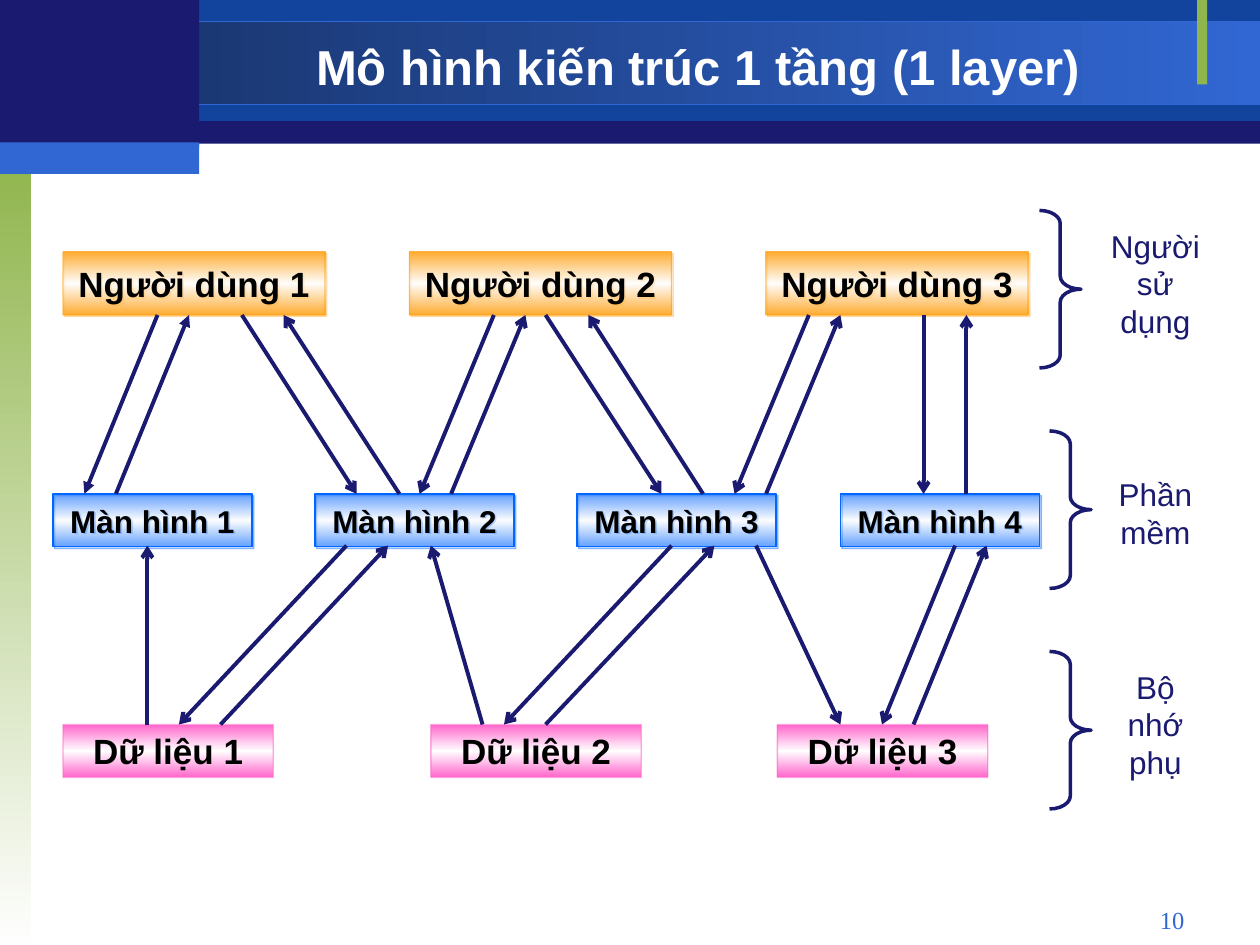
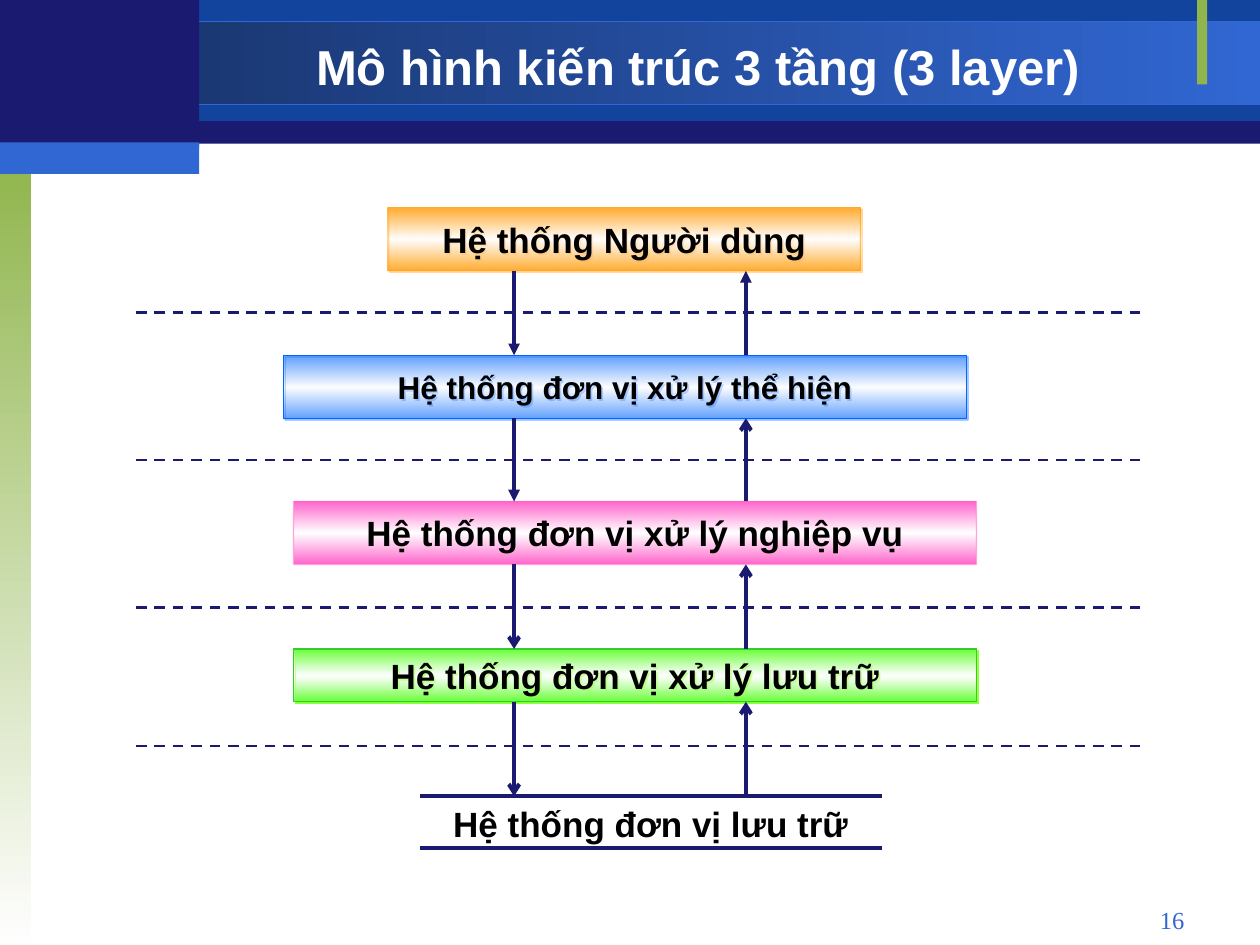
"""Build two slides on one-layer and three-layer architecture models."""
from lxml import etree
from pptx import Presentation
from pptx.dml.color import RGBColor
from pptx.enum.dml import MSO_LINE
from pptx.enum.shapes import MSO_CONNECTOR, MSO_SHAPE
from pptx.enum.text import MSO_ANCHOR, MSO_AUTO_SIZE, PP_ALIGN
from pptx.oxml.ns import qn
from pptx.util import Inches, Pt

RECTANGLE, BRACE = MSO_SHAPE.RECTANGLE, MSO_SHAPE.RIGHT_BRACE
STRAIGHT, DASH = MSO_CONNECTOR.STRAIGHT, MSO_LINE.DASH
CENTER, RIGHT = PP_ALIGN.CENTER, PP_ALIGN.RIGHT
TOP, MIDDLE = MSO_ANCHOR.TOP, MSO_ANCHOR.MIDDLE
NO_AUTOFIT = MSO_AUTO_SIZE.NONE

COLORS = {
    "navy": "1A1A70", "blue": "12449E", "bright": "3167D3", "deep": "162F61",
    "olive": "90B54D", "paper": "FEFEFE", "white": "FFFFFF", "black": "000000",
    "orange": "FF9900", "azure": "0066FF", "pink": "FF66CC",
    "green": "66FF33", "leaf": "33CC33", "lime": "99FF33",
}
BOX_STYLES = {
    "user": {"stops": [("orange", 71), ("white", 71), ("orange", 71)],
             "line": ("orange", 60), "shadow": ("orange", 50), "size": 20, "before": 12.5},
    "screen": {"stops": [("azure", 50), ("white", 50), ("azure", 50)],
               "line": ("azure", 100), "shadow": ("azure", 50), "size": 18},
    "data": {"stops": [("pink", 100), ("white", 100), ("pink", 100)],
             "line": ("pink", 60), "size": 20},
    "storage": {"stops": [("green", 100), ("white", 50), ("green", 100)],
                "line": ("leaf", 100), "shadow": ("lime", 100), "size": 20},
}


def rgb(name):
    """Return the named colour."""
    return RGBColor.from_string(COLORS[name])


def add_color(parent, name, opacity=100):
    """Append a colour with its opacity in percent."""
    color = etree.SubElement(parent, qn("a:srgbClr"), val=COLORS[name])
    if opacity < 100:
        etree.SubElement(color, qn("a:alpha"), val=str(opacity * 1000))


def write_text(frame, text, size=18, color="black", font="Arial", bold=False,
               align=CENTER, anchor=TOP, before=0):
    """Write one formatted paragraph into a text frame."""
    frame.word_wrap = True
    frame.auto_size = NO_AUTOFIT
    frame.vertical_anchor = anchor
    frame.margin_left = frame.margin_right = Inches(0.1)
    frame.margin_top = frame.margin_bottom = Inches(0.05)
    para = frame.paragraphs[0]
    para.alignment = align
    para.space_before = Pt(before)
    span = para.add_run()
    span.text = text
    span.font.name = font
    span.font.size = Pt(size)
    span.font.bold = bold
    span.font.color.rgb = rgb(color)


class SlideBuilder:
    """Hold the deck style and the current slide."""

    def __init__(self):
        """Start the deck and decorate its shared layout."""
        self.deck = Presentation()
        self.deck.slide_width, self.deck.slide_height = Inches(10), Inches(7.5)
        self.layout = self.deck.slide_layouts[5]
        self.page = None
        self.decorated = False

    def start_page(self, title, number):
        """Add a slide with its title and page number."""
        self.page = self.deck.slides.add_slide(self.layout)
        if not self.decorated:
            self.decorate_layout()
        heading = self.page.shapes.title
        heading.left, heading.top = Inches(1.58), Inches(0.23)
        heading.width, heading.height = Inches(7.92), Inches(0.58)
        write_text(heading.text_frame, title, size=28, color="white", bold=True, anchor=MIDDLE)
        self.text(number, 7.17, 7.13, 2.33, 0.27, size=14, color="bright",
                  font="Times New Roman", align=RIGHT)

    def decorate_layout(self):
        """Draw the bands once and move them to the layout."""
        header = [("bright", 100), ("deep", 100)]
        margin = [("olive", 100), ("paper", 100)]
        bands = [
            self.band(0, 0.01, 10, 1.13, "navy"),
            self.band(1.58, 0, 8.42, 0.96, "blue"),
            self.band(0, 0.17, 10, 0.66, stops=header, angle=180, line="bright"),
            self.band(0, 1.25, 0.25, 6.25, stops=margin),
            self.band(9.5, 0, 0.08, 0.67, "olive"),
            self.band(0, 0, 1.58, 1.17, "navy"),
            self.band(0, 1.13, 1.58, 0.25, "bright"),
        ]
        for band in bands:
            self.layout.shapes.element.append(band.element)
        self.decorated = True

    def shape(self, kind, left, top, width, height):
        """Add a preset shape without fill, line or shadow."""
        shape = self.page.shapes.add_shape(
            kind, Inches(left), Inches(top), Inches(width), Inches(height))
        shape.shadow.inherit = False
        shape.fill.background()
        shape.line.fill.background()
        return shape

    def gradient(self, shape, stops, angle=90):
        """Replace the empty fill by evenly spaced gradient stops."""
        fill = etree.Element(qn("a:gradFill"), rotWithShape="1")
        stop_list = etree.SubElement(fill, qn("a:gsLst"))
        for index, (name, opacity) in enumerate(stops):
            position = index * 100000 // (len(stops) - 1)
            stop = etree.SubElement(stop_list, qn("a:gs"), pos=str(position))
            add_color(stop, name, opacity)
        etree.SubElement(fill, qn("a:lin"), ang=str(angle * 60000), scaled="0")
        properties = shape.element.spPr
        properties.replace(properties.find(qn("a:noFill")), fill)

    def outline(self, shape, name, opacity=100, width=0.75):
        """Give a shape a solid line."""
        shape.line.color.rgb = rgb(name)
        shape.line.width = Pt(width)
        if opacity < 100:
            solid = shape.element.spPr.find(qn("a:ln")).find(qn("a:solidFill"))
            solid.clear()
            add_color(solid, name, opacity)

    def band(self, left, top, width, height, fill=None, stops=None, angle=90, line=None):
        """Add a plain or shaded band."""
        band = self.shape(RECTANGLE, left, top, width, height)
        if stops:
            self.gradient(band, stops, angle)
        else:
            band.fill.solid()
            band.fill.fore_color.rgb = rgb(fill)
        if line:
            self.outline(band, line)
        return band

    def box(self, kind, text, left, top, width, height):
        """Add a labelled box in one of the shared styles."""
        style = BOX_STYLES[kind]
        box = self.shape(RECTANGLE, left, top, width, height)
        self.gradient(box, style["stops"])
        self.outline(box, *style["line"])
        if "shadow" in style:
            effects = box.element.spPr.find(qn("a:effectLst"))
            shadow = etree.SubElement(
                effects, qn("a:outerShdw"), dist=str(Pt(1.4)), dir="2700000", rotWithShape="0")
            add_color(shadow, *style["shadow"])
        write_text(box.text_frame, text, size=style["size"], bold=True,
                   anchor=MIDDLE, before=style.get("before", 0))

    def text(self, text, left, top, width, height, **style):
        """Add a text box."""
        box = self.page.shapes.add_textbox(
            Inches(left), Inches(top), Inches(width), Inches(height))
        write_text(box.text_frame, text, **style)

    def line(self, start, end, width=2.25, dash=None, head=None):
        """Add a straight line, with an arrowhead at its end if asked."""
        line = self.page.shapes.add_connector(
            STRAIGHT, *(Inches(value) for value in (*start, *end)))
        self.outline(line, "navy", width=width)
        if dash:
            line.line.dash_style = dash
        properties = line.element.spPr
        if head:
            etree.SubElement(properties.find(qn("a:ln")), qn("a:tailEnd"), type=head)
        etree.SubElement(properties, qn("a:effectLst"))

    def brace(self, left, top):
        """Add a right brace that closes a tier."""
        brace = self.shape(BRACE, left, top, 0.33, 1.25)
        brace.adjustments[0] = 0.3125
        self.outline(brace, "navy", width=2)


def build_one_layer(builder):
    """Draw users, screens and data with their exchanges."""
    builder.start_page("Mô hình kiến trúc 1 tầng (1 layer)", "10")
    tiers = [
        ("user", "Người dùng", 2, 2.08, 0.5, (0.5, 3.25, 6.08)),
        ("screen", "Màn hình", 3.92, 1.58, 0.42, (0.42, 2.5, 4.58, 6.67)),
        ("data", "Dữ liệu", 5.75, 1.67, 0.42, (0.5, 3.42, 6.17)),
    ]
    for kind, label, top, width, height, lefts in tiers:
        for number, left in enumerate(lefts, 1):
            builder.box(kind, f"{label} {number}", left, top, width, height)

    user_to_screen = [(1.25, 0.67), (1.92, 2.83), (3.92, 3.33),
                      (4.33, 5.25), (7.33, 7.33), (6.42, 5.83)]
    screen_to_user = [(0.92, 1.5), (3.17, 2.25), (3.58, 4.17),
                      (5.58, 4.67), (7.67, 7.67), (6.08, 6.67)]
    screen_to_data = [(2.75, 1.42), (5.33, 4), (6, 6.67), (7.58, 7)]
    data_to_screen = [(1.17, 1.17), (1.75, 3.08), (3.83, 3.42), (4.33, 5.67), (7.25, 7.83)]
    flows = [(2.5, 3.92, user_to_screen), (3.92, 2.5, screen_to_user),
             (4.33, 5.75, screen_to_data), (5.75, 4.33, data_to_screen)]
    for start_y, end_y, pairs in flows:
        for start_x, end_x in pairs:
            head = "triangle" if start_x in (1.25, 0.92) else "arrow"
            builder.line((start_x, start_y), (end_x, end_y), head=head)

    captions = [("Người sử dụng", 8.25, 1.67, 1.75, 1), ("Phần mềm", 8.33, 3.42, 3.72, 0.7),
                ("Bộ nhớ phụ", 8.33, 5.17, 5.25, 1)]
    for caption, brace_left, brace_top, top, height in captions:
        builder.brace(brace_left, brace_top)
        builder.text(caption, 8.67, top, 1, height, color="navy", before=11.2)


def build_three_layers(builder):
    """Draw the stack of systems with the borders between them."""
    builder.start_page("Mô hình kiến trúc 3 tầng (3 layer)", "16")
    systems = [
        ("user", "Hệ thống Người dùng", 3.08, 1.65, 3.75, 0.5),
        ("screen", "Hệ thống đơn vị xử lý thể hiện", 2.25, 2.82, 5.42, 0.5),
        ("data", "Hệ thống đơn vị xử lý nghiệp vụ", 2.33, 3.98, 5.42, 0.5),
        ("storage", "Hệ thống đơn vị xử lý lưu trữ", 2.33, 5.15, 5.42, 0.42),
    ]
    for system in systems:
        builder.box(*system)

    gaps = [(2.15, 2.82, 2.48, "triangle", "triangle"), (3.32, 3.98, 3.65, "triangle", "arrow"),
            (4.48, 5.15, 4.82, "arrow", "arrow"), (5.57, 6.32, 5.92, "arrow", "arrow")]
    for upper, lower, border, down_head, up_head in gaps:
        builder.line((4.08, upper), (4.08, lower), head=down_head)
        builder.line((5.92, lower), (5.92, upper), head=up_head)
        builder.line((1.08, border), (9.08, border), width=1.5, dash=DASH)

    for height in (6.32, 6.73):
        builder.line((3.33, height), (7, height))
    builder.text("Hệ thống đơn vị lưu trữ", 3.33, 6.32, 3.67, 0.44,
                 size=20, bold=True, before=12.5)


def main():
    """Build and save the deck."""
    builder = SlideBuilder()
    build_one_layer(builder)
    build_three_layers(builder)
    builder.deck.save("out.pptx")


if __name__ == "__main__":
    main()
